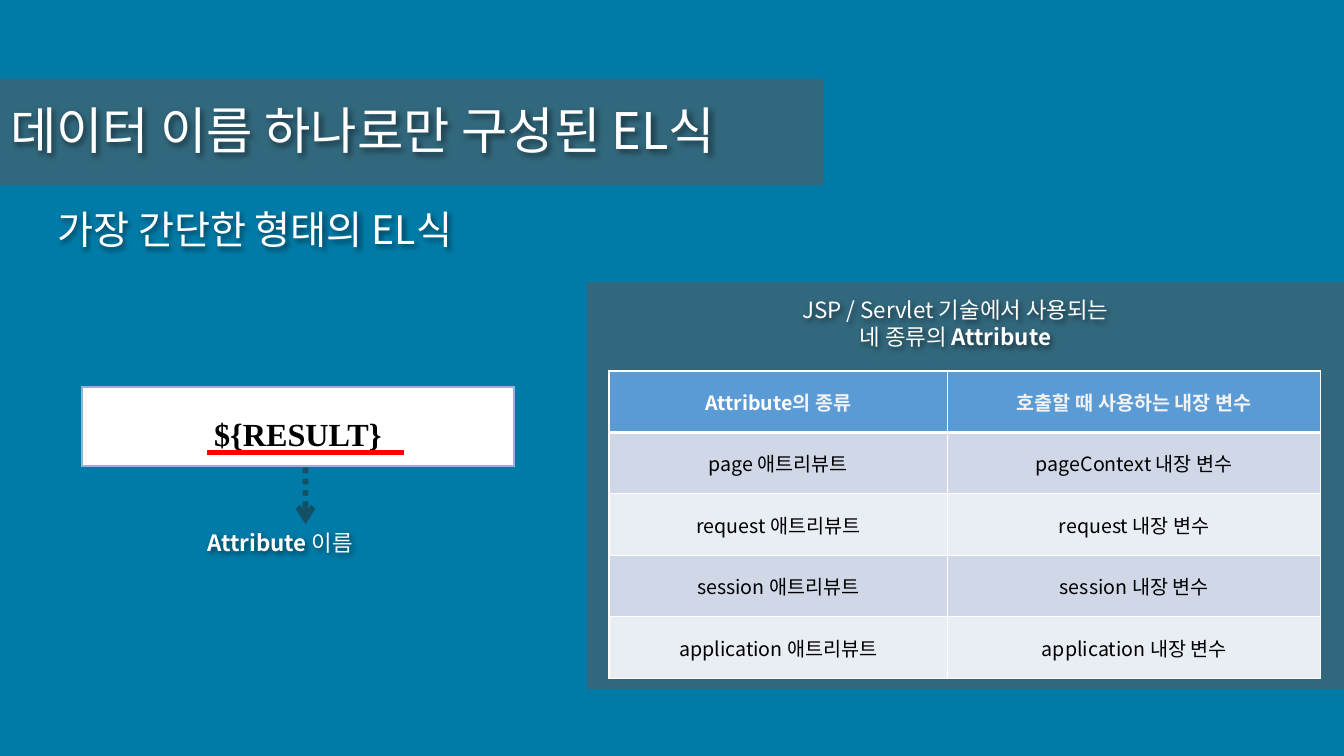
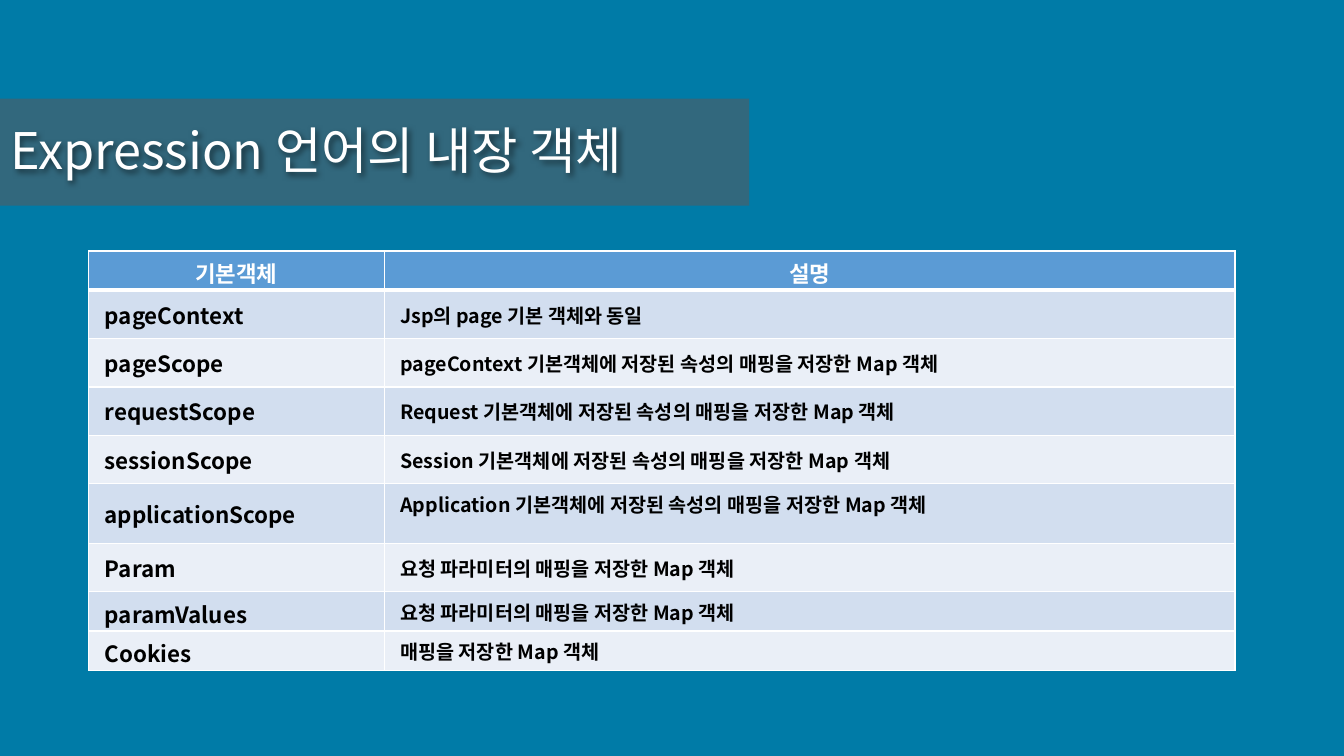
from lxml import etree
from pptx import Presentation
from pptx.dml.color import RGBColor
from pptx.enum.dml import MSO_LINE
from pptx.enum.shapes import MSO_CONNECTOR, MSO_SHAPE
from pptx.enum.text import MSO_ANCHOR as Anchor, MSO_AUTO_SIZE as AutoSize, PP_ALIGN as Align
from pptx.oxml import parse_xml
from pptx.oxml.ns import nsdecls, qn
from pptx.util import Inches, Pt

WIDTH, HEIGHT = 13.33, 7.5
SANS, SERIF = "Noto Sans CJK KR", "Times New Roman"
COLORS = {
    "background": "007BA7", "panel": "615758", "white": "FFFFFF", "black": "000000",
    "header": "5B9BD5", "soft_white": "F2F2F2", "code_border": "95B3D7",
    "underline": "FF0000", "arrow": "262626",
}
ATTRIBUTE_BANDS = ("D0D8E8", "E9EDF4")
OBJECT_BANDS = ("D2DEEF", "EAEFF7")

# A line of text is a list of (text, bold) pieces.
SUBTITLE = [[("가장 간단한 형태의 EL식", False)]]
CODE = "${RESULT}"
CODE_LABEL = [[("Attribute", True), (" 이름", False)]]
PANEL_HEADING = [[("JSP / Servlet 기술에서 사용되는", False)],
                 [("네 종류의 ", False), ("Attribute", True)]]
ATTRIBUTE_HEADER = ("Attribute의 종류", "호출할 때 사용하는 내장 변수")
ATTRIBUTES = [("page", "pageContext"), ("request", "request"),
              ("session", "session"), ("application", "application")]

MAP_TEXT = "매핑을 저장한 Map 객체"
SCOPE_TEXT = "기본객체에 저장된 속성의 " + MAP_TEXT
PARAM_TEXT = "요청 파라미터의 " + MAP_TEXT
OBJECTS = [
    ("기본객체", "설명"),
    ("pageContext", "Jsp의 page 기본 객체와 동일"),
    ("pageScope", "pageContext " + SCOPE_TEXT),
    ("requestScope", "Request " + SCOPE_TEXT),
    ("sessionScope", "Session " + SCOPE_TEXT),
    ("applicationScope", "Application " + SCOPE_TEXT),
    ("Param", PARAM_TEXT),
    ("paramValues", PARAM_TEXT),
    ("Cookies", MAP_TEXT),
]
OBJECT_ROWS = [0.39] + [0.48] * 4 + [0.59, 0.48, 0.39, 0.39]


def rgb(color):
    return RGBColor.from_string(COLORS.get(color, color))


def inches(*lengths):
    return [Inches(length) for length in lengths]


def set_alpha(fill_element, percent):
    color = fill_element.find(".//" + qn("a:srgbClr"))
    etree.SubElement(color, qn("a:alpha")).set("val", str(percent * 1000))


def style_run(run, size, color="white", bold=False, font=SANS):
    run.font.size, run.font.bold, run.font.name = Pt(size), bold, font
    run.font.color.rgb = rgb(color)
    latin = run.font._element.find(qn("a:latin"))
    latin.addnext(parse_xml(f'<a:ea {nsdecls("a")} typeface="{font}"/>'))


def add_text_shadow(shape):
    shape.element.spPr.append(parse_xml(
        f'<a:effectLst {nsdecls("a")}><a:outerShdw blurRad="50800" dist="25400" dir="2700000">'
        '<a:srgbClr val="000000"><a:alpha val="50000"/></a:srgbClr></a:outerShdw></a:effectLst>'))


def fill_text(shape, lines, size, align=Align.LEFT):
    frame = shape.text_frame
    frame.word_wrap, frame.auto_size = True, AutoSize.SHAPE_TO_FIT_TEXT
    frame.vertical_anchor = Anchor.TOP
    for number, pieces in enumerate(lines):
        para = frame.add_paragraph() if number else frame.paragraphs[0]
        para.alignment = align
        for text, bold in pieces:
            run = para.add_run()
            run.text = text
            style_run(run, size, bold=bold)
    add_text_shadow(shape)


def add_text(slide, at, lines, size, align=Align.LEFT):
    fill_text(slide.shapes.add_textbox(*inches(*at)), lines, size, align)


def add_panel(slide, *at):
    panel = slide.shapes.add_shape(MSO_SHAPE.RECTANGLE, *inches(*at))
    panel.shadow.inherit = False
    panel.fill.solid()
    panel.fill.fore_color.rgb = rgb("panel")
    set_alpha(panel.element.spPr.find(qn("a:solidFill")), 52)
    panel.line.fill.background()
    return panel


def add_titled_slide(deck, title, band_top, band_width):
    slide = deck.slides.add_slide(deck.slide_layouts.get_by_name("Title Only"))
    box = slide.shapes.title
    box.left, box.top, box.width, box.height = inches(0, band_top + 0.15, 11.5, 0.71)
    fill_text(box, [[(title, False)]], 36)
    band = add_panel(slide, -0.04, band_top, band_width, 1.06)
    box.element.addprevious(band.element)
    return slide


def add_line(slide, start, end, color):
    line = slide.shapes.add_connector(MSO_CONNECTOR.STRAIGHT, *inches(*start, *end))
    line.line.color.rgb, line.line.width = rgb(color), Pt(4)
    etree.SubElement(line.element.spPr, qn("a:effectLst"))
    return line


def add_table(slide, left, top, columns, rows):
    frame = slide.shapes.add_table(len(rows), len(columns),
                                   *inches(left, top, sum(columns), sum(rows)))
    table = frame.table
    for column, width in zip(table.columns, columns):
        column.width = Inches(width)
    for row, height in zip(table.rows, rows):
        row.height = Inches(height)
    return table


def set_borders(cell, color, **widths):
    """Draw the four sides; widths overrides the 1 pt default by side letter."""
    properties = cell._tc.get_or_add_tcPr()
    for position, side in enumerate("LRTB"):
        width = Pt(widths.get(side, 1))
        properties.insert(position, parse_xml(
            f'<a:ln{side} {nsdecls("a")} w="{width}"><a:solidFill>'
            f'<a:srgbClr val="{COLORS[color]}"/></a:solidFill></a:ln{side}>'))


def fill_cell(cell, text, fill, size, color, bold, align, margins, font=SANS):
    cell.fill.solid()
    cell.fill.fore_color.rgb = rgb(fill)
    cell.vertical_anchor = Anchor.MIDDLE
    cell.margin_left = cell.margin_right = Inches(margins[0])
    cell.margin_top = cell.margin_bottom = Inches(margins[1])
    para = cell.text_frame.paragraphs[0]
    para.text, para.alignment = text, align
    style_run(para.runs[0], size, color, bold, font)
    return para


def fill_banded_table(table, content, bands, sizes, margins, body_bold, body_align):
    for row, texts in enumerate(content):
        for column, text in enumerate(texts):
            cell = table.cell(row, column)
            if row == 0:
                set_borders(cell, "white", B=3)
                fill_cell(cell, text, "header", sizes[0], "white", True, Align.CENTER, margins)
            else:
                set_borders(cell, "white", T=3 if row == 1 else 1)
                fill_cell(cell, text, bands[(row - 1) % 2], sizes[column], "black",
                          body_bold, body_align, margins)


def build_attribute_slide(deck):
    slide = add_titled_slide(deck, "데이터 이름 하나로만 구성된 EL식", 0.78, 8.21)
    add_panel(slide, 5.82, 2.8, WIDTH - 5.82, 4.04)
    add_text(slide, (0.47, 1.99, 4.66, 0.57), SUBTITLE, 28)

    code_cell = add_table(slide, 0.81, 3.84, [4.29], [0.78]).cell(0, 0)
    set_borders(code_cell, "code_border", L=1.5, R=1.5, T=1.5, B=1.5)
    code = fill_cell(code_cell, CODE, "white", 23, "black", True, Align.CENTER,
                     (0.11, 0.04), SERIF)
    code.line_spacing = 1.5

    add_text(slide, (1.96, 5.2, 3.86, 0.37), CODE_LABEL, 16)
    add_line(slide, (2.05, 4.49), (4.01, 4.49), "underline")
    arrow = add_line(slide, (3.03, 4.64), (3.03, 5.2), "arrow")
    arrow.line.dash_style = MSO_LINE.ROUND_DOT
    outline = arrow.element.spPr.find(qn("a:ln"))
    set_alpha(outline, 50)
    etree.SubElement(outline, qn("a:tailEnd")).set("type", "arrow")

    content = [ATTRIBUTE_HEADER] + [(f"{scope} 애트리뷰트", f"{variable} 내장 변수")
                                    for scope, variable in ATTRIBUTES]
    table = add_table(slide, 6.04, 3.68, [3.36, 3.7], [0.61] * len(content))
    fill_banded_table(table, content, ATTRIBUTE_BANDS, (14, 14), (0.13, 0.05),
                      False, Align.CENTER)
    first, second = (table.cell(0, column).text_frame.paragraphs[0] for column in range(2))
    first.runs[0].text = "Attribute"
    suffix = first.add_run()
    suffix.text = "의 종류"
    style_run(suffix, 14, "soft_white", True)
    second.runs[0].font.color.rgb = rgb("soft_white")
    add_text(slide, (6.3, 2.89, 6.35, 0.64), PANEL_HEADING, 16, Align.CENTER)


def build_object_slide(deck):
    slide = add_titled_slide(deck, "Expression 언어의 내장 객체", 0.98, 7.47)
    table = add_table(slide, 0.88, 2.49, [2.93, 8.44], OBJECT_ROWS)
    fill_banded_table(table, OBJECTS, OBJECT_BANDS, (16, 14), (0.16, 0.06), True, Align.LEFT)
    table.cell(0, 1).text_frame.paragraphs[0].runs[0].font.size = Pt(16)
    table.cell(5, 1).vertical_anchor = Anchor.TOP


def main():
    deck = Presentation()
    deck.slide_width, deck.slide_height = inches(WIDTH, HEIGHT)
    background = deck.slide_master.background.fill
    background.solid()
    background.fore_color.rgb = rgb("background")
    build_attribute_slide(deck)
    build_object_slide(deck)
    deck.save("out.pptx")


if __name__ == "__main__":
    main()
